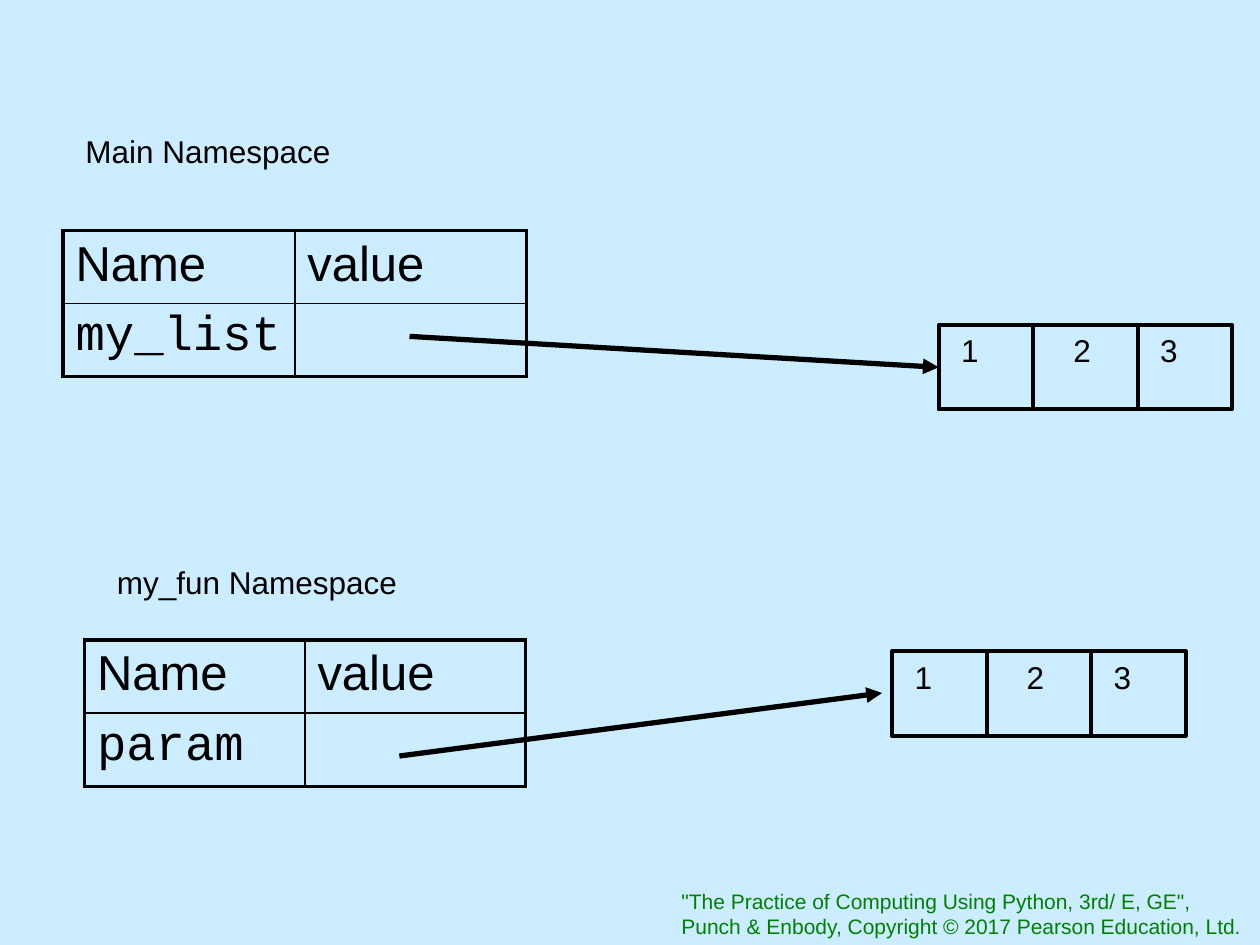
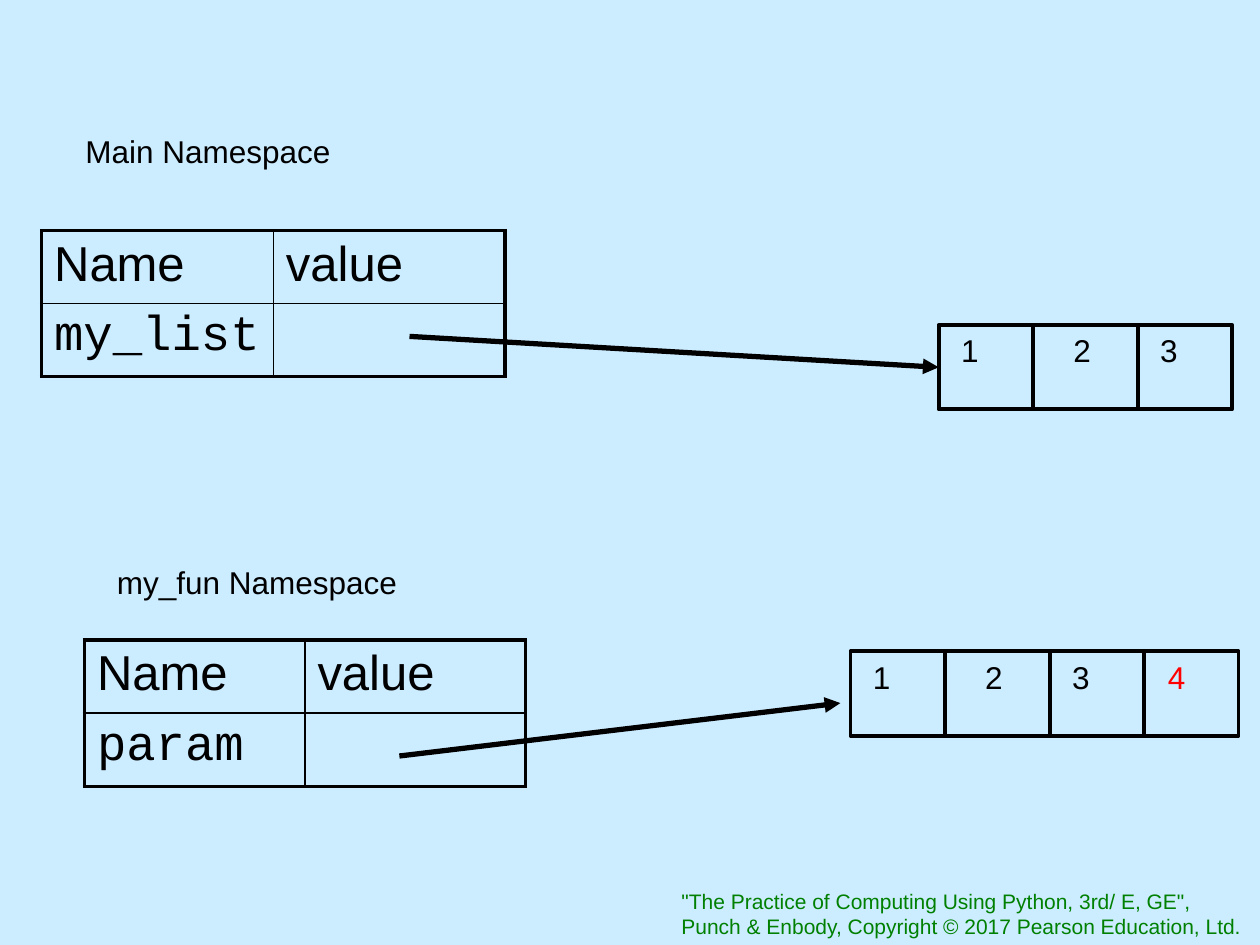
from lxml.etree import SubElement
from pptx import Presentation
from pptx.dml.color import RGBColor
from pptx.enum.shapes import MSO_CONNECTOR, MSO_SHAPE
from pptx.enum.text import MSO_AUTO_SIZE
from pptx.oxml.ns import qn
from pptx.util import Inches, Pt

SKY = RGBColor(0xCC, 0xEC, 0xFF)
BLACK = RGBColor(0, 0, 0)
GREEN = RGBColor(0, 0x80, 0)
RED = RGBColor(0xFF, 0, 0)

FOOTER = ('"The Practice of Computing Using Python, 3rd/ E, GE",\n'
          "Punch & Enbody, Copyright © 2017 Pearson Education, Ltd.")
ROW_H = 0.58
LIST_H = 0.67
THICK, THIN = 2.25, 1

# Offsets from the left edge of a list box
DIGIT_X = [0.08, 0.97, 1.66, 2.42]
CELL_END = [0.75, 1.58, 2.33, 3.08]

# Label, its position and size, variable name, table position, column width,
# arrow start, arrow end, list position, list length
MAIN = ("Main Namespace", (0.58, 1, 3.65, 0.63), "my_list")
FUN = ("my_fun Namespace", (0.83, 4.42, 2.45, 0.4), "param")
MAIN_ARROW = ((3.25, 2.67), (7.45, 2.92), (7.45, 2.58), 3)
SLIDES = [
    [(*MAIN, (0.5, 1.83), 1.84, *MAIN_ARROW),
     (*FUN, (0.67, 5.08), 1.75, (3.17, 6), (7, 5.5), (7.08, 5.17), 3)],
    [(*MAIN, (0.33, 1.83), 1.84, *MAIN_ARROW),
     (*FUN, (0.67, 5.08), 1.75, (3.17, 6), (6.67, 5.58), (6.75, 5.17), 4)],
]


def add_text(text, slide=None, box=None, cell=None, size=18, font="Arial", color=BLACK):
    """Write text into a table cell, or into a new text box on the slide."""
    if cell is None:
        tf = slide.shapes.add_textbox(*map(Inches, box)).text_frame
        tf.word_wrap = False
        tf.auto_size = MSO_AUTO_SIZE.SHAPE_TO_FIT_TEXT
    else:
        tf = cell.text_frame
    tf.text = text
    for p in tf.paragraphs:
        p.font.size = Pt(size)
        for r in p.runs:
            r.font.size = Pt(size)
            r.font.name = font
            r.font.color.rgb = color


def add_line(slide, start, end, width):
    line = slide.shapes.add_connector(MSO_CONNECTOR.STRAIGHT, *map(Inches, (*start, *end)))
    line.line.color.rgb = BLACK
    line.line.width = Pt(width)
    SubElement(line._element.spPr, qn("a:effectLst"))
    return line


prs = Presentation()
prs.slide_width, prs.slide_height = Inches(10), Inches(7.5)
fill = prs.slide_master.background.fill
fill.solid()
fill.fore_color.rgb = SKY

for namespaces in SLIDES:
    slide = prs.slides.add_slide(prs.slide_layouts[6])
    add_text(FOOTER, slide, (5.31, 7, 4.68, 0.5), size=12, color=GREEN)

    for label, label_box, name, table_at, col_w, start, end, (x, y), count in namespaces:
        add_text(label, slide, label_box)

        # Table of names and values
        table = slide.shapes.add_table(
            2, 2, *map(Inches, (*table_at, 2 * col_w, 2 * ROW_H))).table
        table.first_row = table.horz_banding = False
        for i in range(2):
            table.columns[i].width = Inches(col_w)
            table.rows[i].height = Inches(ROW_H)
        for row, texts in enumerate([("Name", "value"), (name, "")]):
            for col, text in enumerate(texts):
                cell = table.cell(row, col)
                font = "Courier New" if row == 1 else "Arial"
                add_text(text, cell=cell, size=28, font=font)
                outer = {"L": col == 0, "R": col == 1, "T": row == 0, "B": row == 1}
                for side, is_outer in outer.items():
                    width = Pt(THICK if is_outer else THIN)
                    ln = SubElement(cell._tc.get_or_add_tcPr(), qn(f"a:ln{side}"), w=str(width))
                    SubElement(SubElement(ln, qn("a:solidFill")), qn("a:srgbClr"), val=str(BLACK))
                cell.fill.background()

        # List box with its dividers and digits
        sp = slide.shapes.add_shape(
            MSO_SHAPE.RECTANGLE, *map(Inches, (x, y, CELL_END[count - 1], LIST_H)))
        sp.shadow.inherit = False
        sp.fill.background()
        sp.line.color.rgb = BLACK
        sp.line.width = Pt(THICK)
        for dx in CELL_END[:count - 1]:
            add_line(slide, (x + dx, y), (x + dx, y + LIST_H), THICK)
        for i, dx in enumerate(DIGIT_X[:count]):
            add_text(str(i + 1), slide, (x + dx, y, 0.45, 0.63), color=RED if i == 3 else BLACK)

        # Reference from the value cell to the list
        arrow = add_line(slide, start, end, 3)
        SubElement(arrow.line._get_or_add_ln(), qn("a:tailEnd"), type="triangle")
        if end[0] == x:
            arrow.end_connect(sp, 1)

prs.save("out.pptx")
